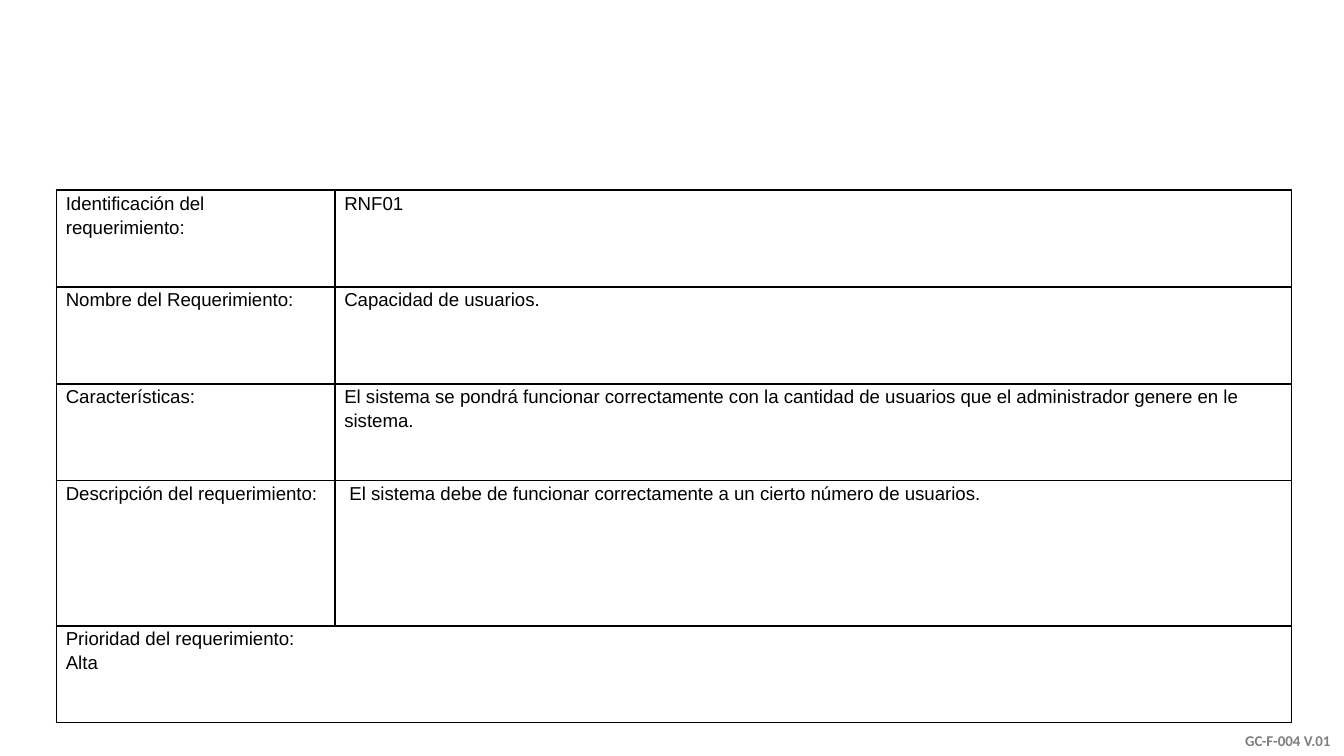
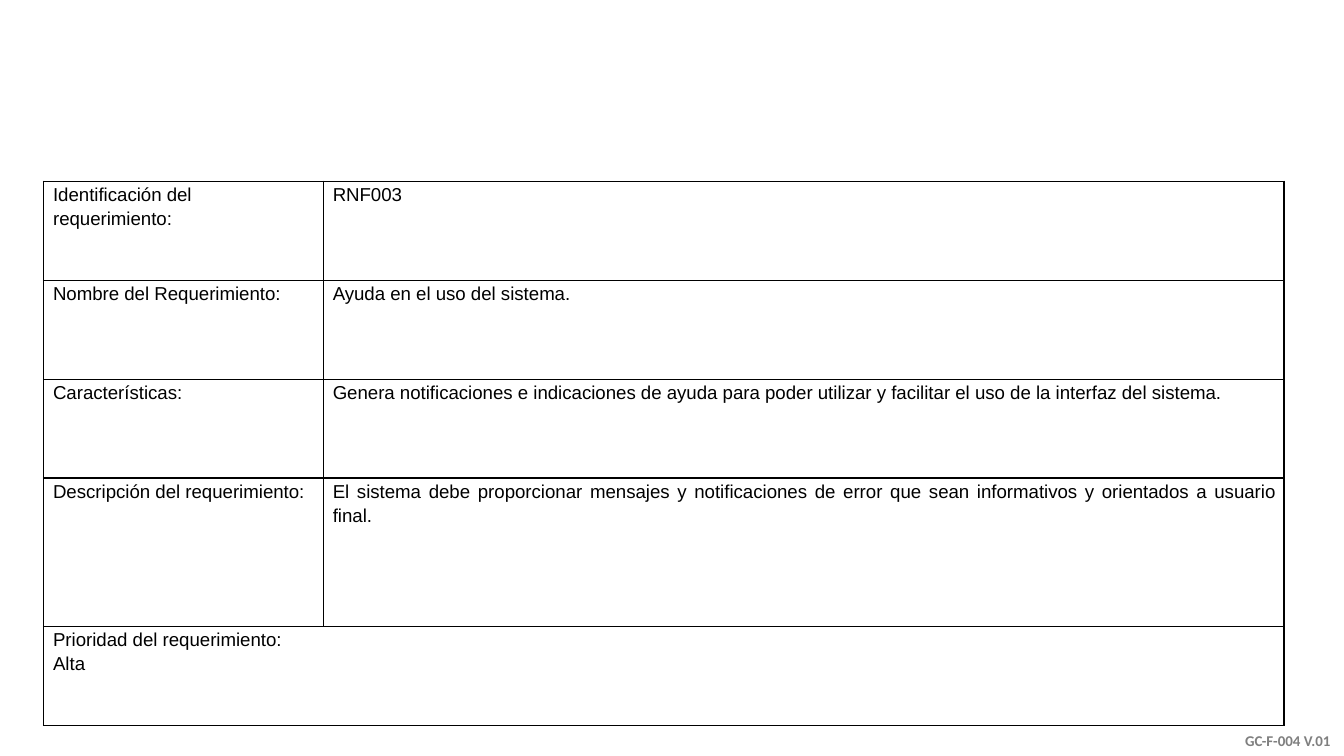
import lxml.etree
import pptx
import pptx.dml.color
import pptx.enum.text
import pptx.oxml.ns
import pptx.util

ALIGN = pptx.enum.text.PP_ALIGN
ANCHOR = pptx.enum.text.MSO_ANCHOR
Inches = pptx.util.Inches
Pt = pptx.util.Pt

THEME = {
    "ink": "000000",
    "muted": "7F7F7F",
    "background": "FFFFFF",
    "body": {"name": "Arial", "size": Pt(10), "bold": False},
    "footer": {"name": "Calibri", "size": Pt(8), "bold": True},
    "border": Pt(1),
    "line_spacing": 1.15,
}
CELL_FORMAT = {
    "margin_left": Inches(0.07),
    "margin_right": Inches(0.07),
    "margin_top": 0,
    "margin_bottom": 0,
    "vertical_anchor": ANCHOR.TOP,
}
FOOTER_FORMAT = {
    "word_wrap": True,
    "vertical_anchor": ANCHOR.BOTTOM,
    "margin_left": Inches(0.1),
    "margin_right": Inches(0.1),
    "margin_top": Inches(0.05),
    "margin_bottom": Inches(0.05),
}
TABLE_FORMAT = {"first_row": False, "horz_banding": False}

WIDTH = Inches(10)
HEIGHT = WIDTH * 9 // 16
FOOTER_WIDTH, FOOTER_HEIGHT = Inches(1.63), Inches(0.43)
FOOTER_TEXT = "GC-F-004 V.01"
COLUMN_PERCENTS = [22.55, 77.45]
ROW_UNITS = [1, 1, 1, 1.5, 1]
LABELS = [
    "Identificación del requerimiento:",
    "Nombre del Requerimiento:",
    "Características:",
    "Descripción del requerimiento:",
]
PRIORITY_LABEL = "Prioridad del requerimiento:"
DESCRIPTION_ROW = 3

REQUIREMENTS = [
    {
        "frame_percents": (4.2, 25.15, 91.9, 70.45),
        "values": [
            "RNF01",
            "Capacidad de usuarios.",
            "El sistema se pondrá funcionar correctamente con la cantidad de usuarios "
            "que el administrador genere en le sistema.",
            " El sistema debe de funcionar correctamente a un cierto número de usuarios.",
        ],
        "priority": "Alta",
    },
    {
        "frame_percents": (3.25, 24, 92.3, 72),
        "values": [
            "RNF003",
            "Ayuda en el uso del sistema.",
            "Genera notificaciones e indicaciones de ayuda para poder utilizar y facilitar "
            "el uso de la interfaz del sistema.",
            "El sistema debe proporcionar mensajes y notificaciones de error que sean "
            "informativos y orientados a usuario final.",
        ],
        "priority": "Alta",
    },
]


def apply_format(target, values):
    for name, value in values.items():
        setattr(target, name, value)


def write_text(text_frame, text, font, color, paragraph_format):
    text_frame.text = text
    for paragraph in text_frame.paragraphs:
        apply_format(paragraph, paragraph_format)
        for run in paragraph.runs:
            apply_format(run.font, font)
            run.font.color.rgb = pptx.dml.color.RGBColor.from_string(color)


presentation = pptx.Presentation()
apply_format(presentation, {"slide_width": WIDTH, "slide_height": HEIGHT})
qualified = pptx.oxml.ns.qn

for requirement in REQUIREMENTS:
    slide = presentation.slides.add_slide(presentation.slide_layouts[6])
    slide.background.fill.solid()
    slide.background.fill.fore_color.rgb = pptx.dml.color.RGBColor.from_string(THEME["background"])

    footer = slide.shapes.add_textbox(
        WIDTH - FOOTER_WIDTH, HEIGHT - FOOTER_HEIGHT, FOOTER_WIDTH, FOOTER_HEIGHT
    )
    apply_format(footer.text_frame, FOOTER_FORMAT)
    write_text(footer.text_frame, FOOTER_TEXT, THEME["footer"], THEME["muted"], {"alignment": ALIGN.RIGHT})

    left, top, width, height = [
        round(side * percent / 100)
        for percent, side in zip(requirement["frame_percents"], (WIDTH, HEIGHT) * 2)
    ]
    table = slide.shapes.add_table(len(ROW_UNITS), len(COLUMN_PERCENTS), left, top, width, height).table
    apply_format(table, TABLE_FORMAT)
    for column, percent in zip(table.columns, COLUMN_PERCENTS):
        column.width = round(width * percent / 100)
    for row, units in zip(table.rows, ROW_UNITS):
        row.height = round(height * units / sum(ROW_UNITS))
    table.cell(len(LABELS), 0).merge(table.cell(len(LABELS), 1))

    rows = list(zip(LABELS, requirement["values"]))
    rows.append((PRIORITY_LABEL + "\n" + requirement["priority"], ""))
    for row_index, texts in enumerate(rows):
        for column_index, text in enumerate(texts):
            cell = table.cell(row_index, column_index)
            apply_format(cell, CELL_FORMAT)
            justified = (row_index, column_index) == (DESCRIPTION_ROW, 1)
            paragraph_format = {
                "alignment": ALIGN.JUSTIFY if justified else ALIGN.LEFT,
                "line_spacing": THEME["line_spacing"],
            }
            if not cell.is_spanned:
                write_text(cell.text_frame, text, THEME["body"], THEME["ink"], paragraph_format)
            properties = cell._tc.get_or_add_tcPr()
            for edge in ("a:lnL", "a:lnR", "a:lnT", "a:lnB"):
                line = lxml.etree.SubElement(properties, qualified(edge), w=str(THEME["border"]))
                solid = lxml.etree.SubElement(line, qualified("a:solidFill"))
                lxml.etree.SubElement(solid, qualified("a:srgbClr"), val=THEME["ink"])
            cell.fill.background()

presentation.save("out.pptx")
